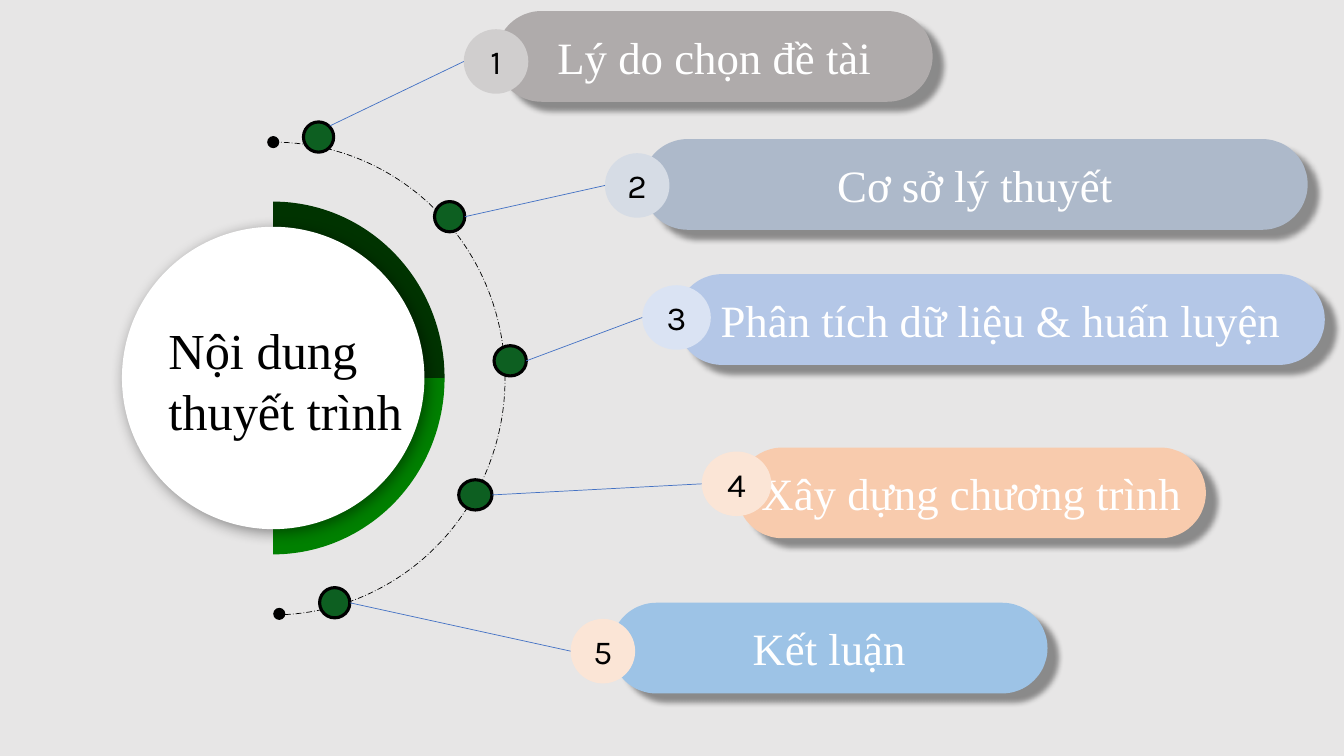
"""Build the agenda slide with a half-circle hub and five numbered topics."""
from math import cos, pi, radians, sin

from lxml.etree import SubElement
from pptx import Presentation
from pptx.dml.color import RGBColor
from pptx.enum.dml import MSO_LINE
from pptx.enum.shapes import MSO_CONNECTOR, MSO_SHAPE
from pptx.enum.text import MSO_ANCHOR, PP_ALIGN
from pptx.oxml.ns import qn
from pptx.util import Pt

PX = 9144
DOT_H, PILL_H, BADGE_H = 30, 90, 64
SERIF = {"name": "Times New Roman", "size": Pt(32)}
SANS = {"name": "Karla", "size": Pt(24)}
PILL_SHADOW = {"blur": 4, "dist": 10, "angle": 40, "alpha": 40}
HUB_SHADOW = {"blur": 10, "dist": 3, "angle": 45, "alpha": 40}

# Each topic: text, pill (x, y, w, colour), badge (x, y, w, colour),
# dot (x, y, w), angle at which the line leaves the dot.
TOPICS = [
    ("Lý do chọn đề tài", (492, 11, 433, "AFABAB"),
     (460, 29, 64, "D0CECE"), (301, 121, 30), 45),
    ("Cơ sở lý thuyết", (637, 138, 660, "ADB9CA"),
     (600, 152, 64, "D6DCE5"), (431, 200, 30), 0),
    ("Phân tích dữ liệu & huấn luyện", (671, 272, 643, "B4C7E7"),
     (637, 283, 68, "DAE3F3"), (490, 343, 32), 0),
    ("Xây dựng chương trình", (731, 444, 465, "F8CBAD"),
     (696, 448, 69, "FBE5D6"), (455, 476, 33), 0),
    ("Kết luận", (606, 598, 433, "9DC3E6"),
     (566, 614, 64, "FBE5D6"), (317, 583, 30), 0),
]


def rgb(value):
    """Turn a hex string into a colour."""
    return RGBColor.from_string(value)


def set_line(line, color, width):
    """Give a line its colour and width in points."""
    line.color.rgb = rgb(color)
    line.width = Pt(width)


def paint(sp, fill=None, line=None, width=1):
    """Set fill and outline, and remove the theme shadow."""
    sp.shadow.inherit = False
    if fill:
        sp.fill.solid()
        sp.fill.fore_color.rgb = rgb(fill)
    else:
        sp.fill.background()
    if line:
        set_line(sp.line, line, width)
    else:
        sp.line.fill.background()
    return sp


def add_shape(slide, kind, box, **look):
    """Add a painted preset shape in a px box."""
    sp = slide.shapes.add_shape(kind, *(v * PX for v in box))
    return paint(sp, **look)


def add_shadow(sp, blur, dist, angle, alpha):
    """Add a black outer shadow to a shape."""
    effects = sp._element.spPr.find(qn("a:effectLst"))
    shadow = SubElement(effects, qn("a:outerShdw"), {
        "blurRad": str(Pt(blur)), "dist": str(Pt(dist)),
        "dir": str(angle * 60000), "algn": "tl", "rotWithShape": "0"})
    color = SubElement(shadow, qn("a:srgbClr"), val="000000")
    SubElement(color, qn("a:alpha"), val=str(alpha * 1000))


def set_text(sp, text, font, color, align=PP_ALIGN.CENTER,
             anchor=MSO_ANCHOR.MIDDLE):
    """Write one formatted paragraph into a shape."""
    tf = sp.text_frame
    tf.word_wrap = True
    tf.vertical_anchor = anchor
    p = tf.paragraphs[0]
    p.alignment = align
    r = p.add_run()
    r.text = text
    for name, value in font.items():
        setattr(r.font, name, value)
    r.font.color.rgb = rgb(color)


def add_line(slide, start, end):
    """Add a thin blue line between two px points."""
    line = slide.shapes.add_connector(
        MSO_CONNECTOR.STRAIGHT, *(round(v) * PX for v in (*start, *end)))
    set_line(line.line, "4472C4", 0.5)
    SubElement(line._element.spPr, qn("a:effectLst"))


def add_quarter(slide, first, color):
    """Add a quarter of the hub's ellipse, starting at an angle in radians."""
    cx, cy, rx, ry, steps = 271, 375, 170, 175, 48
    turns = [first + i * pi / 2 / steps for i in range(steps + 1)]
    points = [((cx + rx * cos(t)) * PX, (cy + ry * sin(t)) * PX)
              for t in turns]
    builder = slide.shapes.build_freeform(cx * PX, cy * PX)
    builder.add_line_segments(points, close=True)
    paint(builder.convert_to_shape(), color)


def add_hub(slide):
    """Add the dashed arc, the green half ring and the titled circle."""
    arc = add_shape(slide, MSO_SHAPE.ARC, (41, 141, 460, 469),
                    line="000000", width=0.5)
    arc.adjustments[0], arc.adjustments[1] = 162, 53.7
    arc.line.dash_style = MSO_LINE.LONG_DASH_DOT
    for x, y in ((265, 135), (271, 603)):
        add_shape(slide, MSO_SHAPE.OVAL, (x, y, 12, 12), fill="000000")
    add_quarter(slide, -pi / 2, "003300")
    add_quarter(slide, 0, "008000")
    hub = add_shape(slide, MSO_SHAPE.OVAL, (121, 225, 300, 300),
                    fill="FFFFFF")
    add_shadow(hub, **HUB_SHADOW)


def add_title(slide, text):
    """Place the title placeholder on top of the hub."""
    title = slide.shapes.title
    box = {"left": 157, "top": 312, "width": 258, "height": 131}
    for name, value in box.items():
        setattr(title, name, value * PX)
    set_text(title, text, {**SERIF, "size": Pt(36)}, "000000",
             PP_ALIGN.LEFT, MSO_ANCHOR.TOP)
    slide.shapes._spTree.append(title._element)


def add_topic(slide, number, text, pill, badge, dot, angle):
    """Add a pill with its numbered badge, its dot and the joining line."""
    x, y, w, color = pill
    sp = add_shape(slide, MSO_SHAPE.ROUNDED_RECTANGLE, (x, y, w, PILL_H),
                   fill=color)
    sp.adjustments[0] = 0.5
    add_shadow(sp, **PILL_SHADOW)
    set_text(sp, text, SERIF, "FFFFFF")

    dot_x, dot_y, dot_w = dot
    add_shape(slide, MSO_SHAPE.OVAL, (dot_x, dot_y, dot_w, DOT_H),
              fill="0D5F21", line="000000", width=2.25)

    x, y, w, color = badge
    sp = add_shape(slide, MSO_SHAPE.OVAL, (x, y, w, BADGE_H), fill=color)
    set_text(sp, str(number), SANS, "000000")

    turn = radians(angle)
    start = (dot_x + dot_w / 2 * (1 + cos(turn)),
             dot_y + DOT_H / 2 * (1 - sin(turn)))
    add_line(slide, start, (x, y + BADGE_H / 2))


def main():
    """Build and save the slide."""
    prs = Presentation()
    prs.slide_width, prs.slide_height = 1333 * PX, 750 * PX
    slide = prs.slides.add_slide(prs.slide_layouts[5])
    slide.background.fill.solid()
    slide.background.fill.fore_color.rgb = rgb("E7E6E6")
    add_hub(slide)
    add_title(slide, "Nội dung thuyết trình")
    for number, topic in enumerate(TOPICS, 1):
        add_topic(slide, number, *topic)
    prs.save("out.pptx")


if __name__ == "__main__":
    main()
